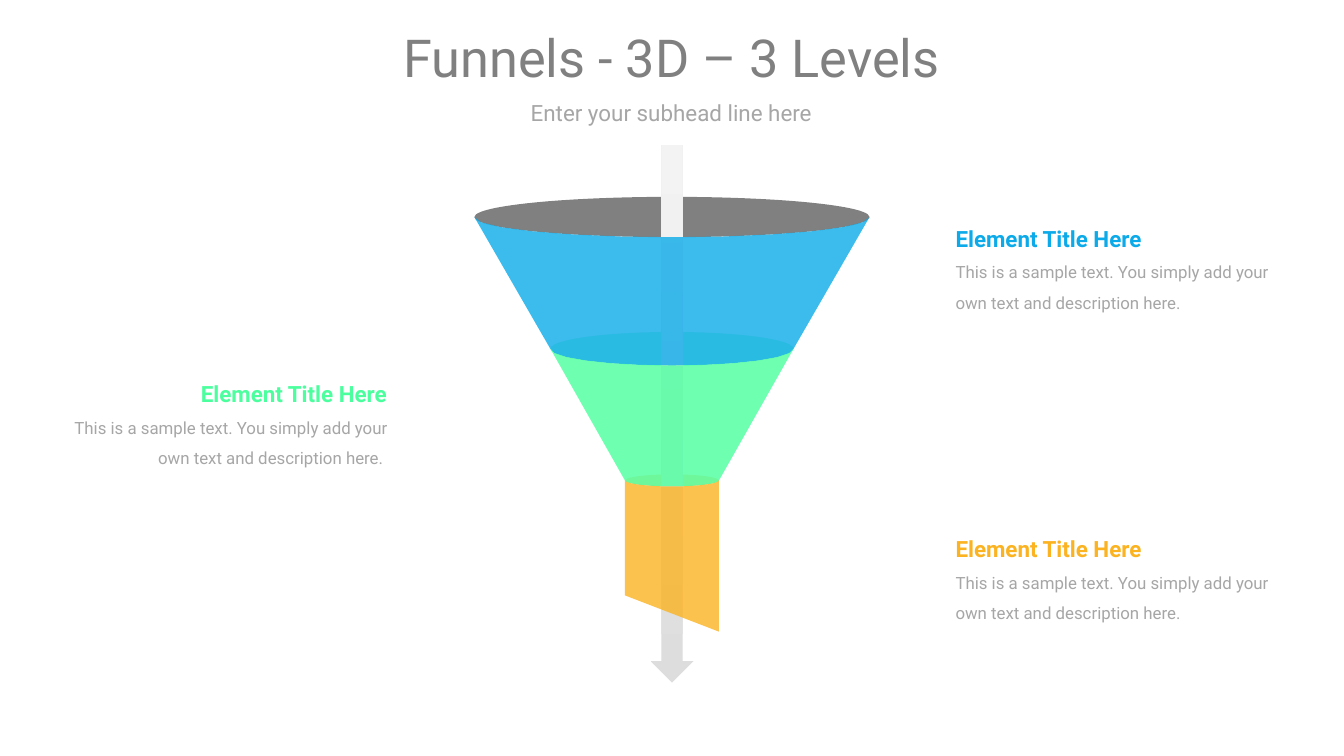
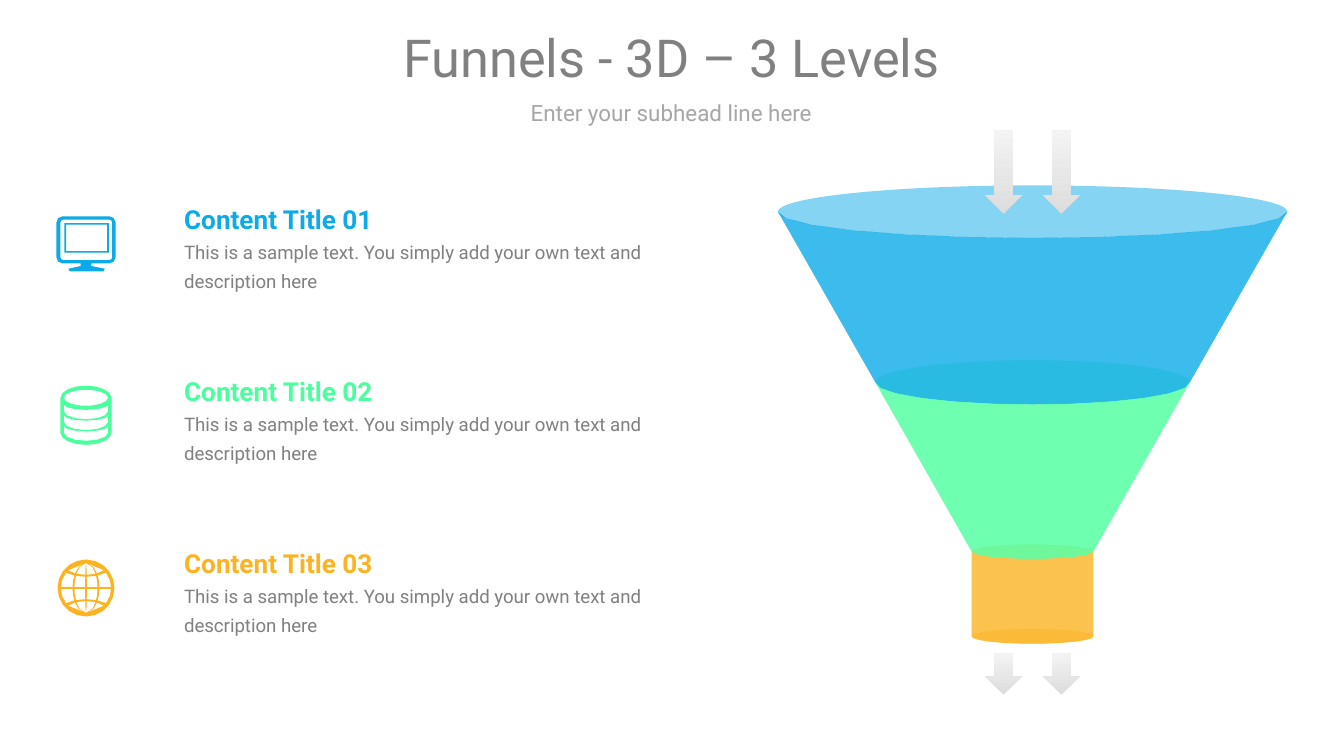
import math
from lxml import etree
from pptx import Presentation
from pptx import util as u
from pptx.dml.color import RGBColor
from pptx.enum import shapes, text
from pptx.oxml.ns import qn

CELL = u.Inches(0.1)  # the grid has 100 columns and 56.25 rows
FONT = "Roboto"
BLUE, GREEN, GOLD = HUES = "0CAAE9", "4BFF9E", "FBB321"
GREY, PALE = "808080", "A6A6A6"
SHADE = "DDDDDD", "F3F3F3"
OVAL, ARROW = shapes.MSO_SHAPE.OVAL, shapes.MSO_SHAPE.DOWN_ARROW
LEFT, MID, RIGHT = text.PP_ALIGN.LEFT, text.PP_ALIGN.CENTER, text.PP_ALIGN.RIGHT
TOP, HALF = text.MSO_ANCHOR.TOP, text.MSO_ANCHOR.MIDDLE


def paint(fill, *hues, alpha=100):
    """Fill with one colour, or with a gradient from bottom to top."""
    if len(hues) == 2:
        fill.gradient()
        fill.gradient_angle = 90
        for stop, hue in zip(fill.gradient_stops, hues):
            stop.color.rgb = RGBColor.from_string(hue)
        return
    fill.solid()
    fill.fore_color.rgb = RGBColor.from_string(hues[0])
    if alpha < 100:
        node = fill._xPr.find(".//" + qn("a:srgbClr"))
        etree.SubElement(node, qn("a:alpha"), val=str(alpha * 1000))


def arc(x, y, rx, ry, start, end, steps=12):
    """Points of an elliptical arc; degrees run clockwise from the right."""
    turns = [math.radians(start + (end - start) * k / steps) for k in range(steps + 1)]
    return [(x + rx * math.cos(t), y + ry * math.sin(t)) for t in turns]


# Text: box, align, anchor, line spacing, words, (size, colour, bold) of each run
head = [
    ((4.2, 7.4, 91.5, 1.9), MID, HALF, 1, "Enter your subhead line here", [(12, PALE, False)]),
    ((4.2, 1.5, 91.5, 5.4), MID, HALF, 1, "Funnels - 3D – 3 Levels", [(28, GREY, False)]),
]
labels, items = list(head), list(head)
sample = "This is a sample text. You simply add your own text and description here"
sides = [(71.1, LEFT, "."), (4.2, RIGHT, ". "), (71.1, LEFT, ".")]
for k, (hue, (x, align, tail)) in enumerate(zip(HUES, sides)):
    labels.append(((x, 15.7 + 11.55 * k, 24.6, 7.6), align, HALF, 1.5,
                   "Element Title Here\n" + sample + tail,
                   [(12, hue, True), (9, PALE, False)]))
    items.append(((13.7, 14.4 + 12.8 * k, 36, 7.4), LEFT, TOP, 1.3,
                  f"Content Title 0{k + 1}\v" + sample,
                  [(14, hue, True), (10, GREY, False)]))

# Funnels: rims are (row, x radius, y radius, colour, alpha), from the top down
thin = [(16.15, 14.7, 1.5, GREY, 100), (25.95, 9.05, 1.25, GREEN, 50),
        (35.75, 3.5, 0.45, GOLD, 50)]
wide = [(15.75, 18.95, 1.95, BLUE, 50), (28.45, 11.7, 1.65, GREEN, 50),
        (41.05, 4.53, 0.55, GOLD, 50), (47.35, 4.53, 0.55, GOLD, 50)]
funnels = []
for mid, rims in ((50, thin), (76.83, wide)):
    ovals = [(OVAL, (mid - rx, y - ry, 2 * rx, 2 * ry), [hue], alpha)
             for y, rx, ry, hue, alpha in rims]
    edges = [arc(mid, y, rx, ry, 180, 0) for y, rx, ry, *_ in rims]
    if rims is thin:
        edges.append([(46.5, 44.3), (53.5, 47)])  # slanted spout
    bands = [([a + b[::-1]], hue, 80) for a, b, hue in zip(edges, edges[1:], HUES)]
    funnels.append((ovals, bands))
(ovals1, bands1), (ovals2, bands2) = funnels

arrows1 = [(ARROW, (48.4, 10.8, 3.2, 40), SHADE, 100)]
arrows2 = [(ARROW, (x, y, 2.75, h), SHADE, 100)
           for y, h in ((48.6, 3.1), (9.7, 6.2)) for x in (73.3, 77.6)]

# Icons: outlines whose inner contours are holes
axis = 6.4
screen = [[(6, 19.6), (6.8, 19.6), (6.8, 19.8), (7.8, 20),
           (7.7, 20.2), (5.2, 20.2), (5.1, 20), (6, 19.8)]]
for l, t, r, b, c in ((4.2, 16.1, 8.6, 19.6, 0.45), (4.5, 16.35, 8.35, 19.35, 0.2)):
    corners = [(r - c, b - c), (l + c, b - c), (l + c, t + c), (r - c, t + c)]
    screen.append([dot for k, (x, y) in enumerate(corners)
                   for dot in arc(x, y, c, c, 90 * k, 90 * k + 90, 2)])
for l, t, r, b in ((4.8, 16.6, 8.1, 18.8), (4.92, 16.72, 7.98, 18.68)):
    screen.append([(l, t), (r, t), (r, b), (l, b)])

drum = [arc(axis, 29.6, 1.9, 0.9, 180, 360, 8) + arc(axis, 32.2, 1.9, 0.9, 0, 180, 8),
        arc(axis, 29.6, 1.65, 0.6, 0, 360, 14)]
for k in range(3):
    y = 30.1 + 0.8 * k
    drum.append(arc(axis, y, 1.65, 0.4, 0, 180, 6)
                + arc(axis, y + 0.5, 1.65, 0.6, 180, 0, 6))

core, rad = 43.75, 1.87
globe = [arc(axis, core, 2.12, 2.12, 0, 360, 20)]
for west, east in ((-rad, -1), (-0.86, -0.06), (0.06, 0.86), (1, rad)):
    for north, south in ((-rad, -0.98), (-0.84, -0.06), (0.06, 0.84), (0.98, rad)):
        hole = []
        for m, a, z in ((west, north, south), (east, south, north)):
            for v in (a, (a + z) / 2, z):
                y = max(-rad, min(rad, v * (1 + 0.1 * m * m)))
                hole.append((axis + m * math.sqrt(1 - (y / rad) ** 2), core + y))
        globe.append(hole)
icons = [(form, hue, 100) for form, hue in zip((screen, drum, globe), HUES)]

deck = Presentation()
deck.slide_width, deck.slide_height = 100 * CELL, int(56.25 * CELL)

for texts, presets, outlines in ((labels, ovals1[::-1] + arrows1, bands1),
                                 (items, ovals2[::-1] + arrows2, bands2 + icons)):
    slide = deck.slides.add_slide(deck.slide_layouts[6])

    for kind, box, hues, alpha in presets:
        shape = slide.shapes.add_shape(kind, *[round(v * CELL) for v in box])
        paint(shape.fill, *hues, alpha=alpha)

    for form, hue, alpha in outlines:
        pen = None
        for line in form:
            dots = [(round(x * CELL), round(y * CELL)) for x, y in line]
            if pen:
                pen.move_to(*dots[0])
            else:
                pen = slide.shapes.build_freeform(*dots[0])
            pen.add_line_segments(dots[1:], close=True)
        paint(pen.convert_to_shape().fill, hue, alpha=alpha)

    for box, align, anchor, gap, words, styles in texts:
        frame = slide.shapes.add_textbox(*[round(v * CELL) for v in box]).text_frame
        frame.text = words
        frame.word_wrap = True
        frame.vertical_anchor = anchor
        frame.margin_left = frame.margin_right = frame.margin_top = frame.margin_bottom = 0
        for par in frame.paragraphs:
            par.alignment, par.line_spacing = align, float(gap)
            for br in par._p.findall(qn("a:br")):
                etree.SubElement(br, qn("a:rPr"), sz=str(styles[0][0] * 100))
        runs = [run for par in frame.paragraphs for run in par.runs]
        for run, (size, hue, bold) in zip(runs, styles):
            run.font.name, run.font.size, run.font.bold = FONT, u.Pt(size), bold
            paint(run.font.fill, hue)

    for shape in slide.shapes:
        shape.line.fill.background()
        shape.shadow.inherit = False

deck.save("out.pptx")
